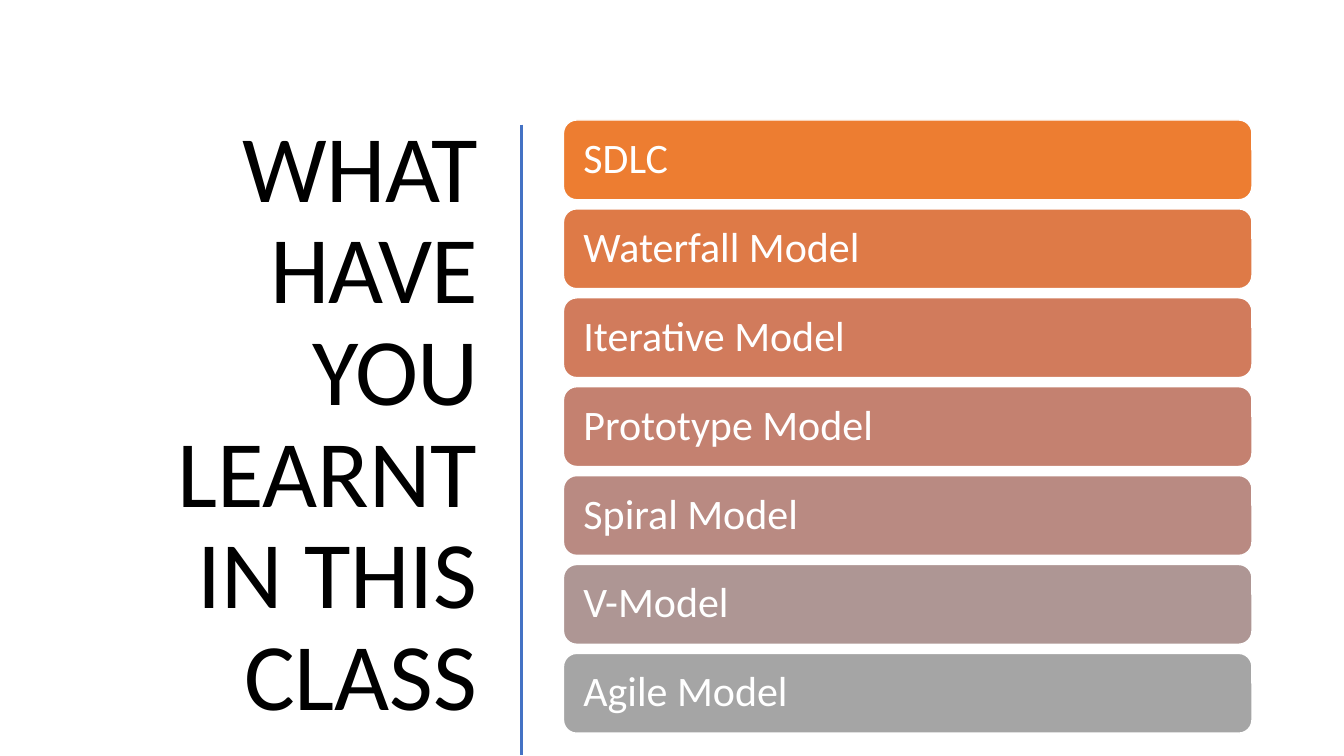
from lxml.etree import SubElement
from pptx import Presentation
from pptx.dml.color import RGBColor
from pptx.enum.shapes import MSO_CONNECTOR, MSO_SHAPE
from pptx.enum.text import MSO_ANCHOR, PP_ALIGN
from pptx.oxml.ns import qn
from pptx.util import Pt

FONT = "Calibri"
# Title pieces with their letter spacing in hundredths of a point
TITLE = [("WHAT HAVE ", -70), ("YOU ", -80), ("LEARNT IN THIS CLASS", -10)]
TOPICS = [
    ("SDLC", "ED7D31"),
    ("Waterfall Model", "DE7A47"),
    ("Iterative Model", "D17B5C"),
    ("Prototype Model", "C48170"),
    ("Spiral Model", "B98A82"),
    ("V-Model", "AE9694"),
    ("Agile Model", "A5A5A5"),
]
BAR_LEFT, BAR_TOP, BAR_WIDTH, BAR_HEIGHT = 402.5, 85.7, 491.8, 57
BAR_PITCH = 63.5


def rgb(color):
    return RGBColor.from_string(color)


def style_paragraph(paragraph, size, color, align, line_spacing):
    paragraph.alignment = align
    paragraph.line_spacing = line_spacing
    paragraph.font.name = FONT
    paragraph.font.size = Pt(size)
    paragraph.font.color.rgb = rgb(color)


def add_title(slide, left, top, width, height):
    title = slide.shapes.add_textbox(Pt(left), Pt(top), Pt(width), Pt(height))
    frame = title.text_frame
    frame.word_wrap = True
    frame.vertical_anchor = MSO_ANCHOR.MIDDLE
    heading = frame.paragraphs[0]
    style_paragraph(heading, 68, "000000", PP_ALIGN.RIGHT, 0.89)
    heading._p.get_or_add_pPr().set("marL", str(Pt(18)))
    for words, spacing in TITLE:
        run = heading.add_run()
        run.text = words
        run._r.get_or_add_rPr().set("spc", str(spacing))


def add_divider(slide, x, top, bottom):
    divider = slide.shapes.add_connector(
        MSO_CONNECTOR.STRAIGHT, Pt(x), Pt(top), Pt(x), Pt(bottom))
    divider.line.color.rgb = rgb("4472C4")
    divider.line.width = Pt(2)
    SubElement(divider._element.spPr, qn("a:effectLst"))


def add_topic_bar(slide, top, topic, color):
    bar = slide.shapes.add_shape(
        MSO_SHAPE.ROUNDED_RECTANGLE,
        Pt(BAR_LEFT), Pt(top), Pt(BAR_WIDTH), Pt(BAR_HEIGHT))
    bar.shadow.inherit = False
    bar.fill.solid()
    bar.fill.fore_color.rgb = rgb(color)
    bar.line.color.rgb = rgb("FFFFFF")
    bar.line.width = Pt(1)
    frame = bar.text_frame
    frame.word_wrap = True
    frame.vertical_anchor = MSO_ANCHOR.MIDDLE
    frame.margin_left = frame.margin_right = Pt(11.5)
    label = frame.paragraphs[0]
    label.text = topic
    style_paragraph(label, 30, "FFFFFF", PP_ALIGN.LEFT, 0.9)


def main():
    deck = Presentation()
    deck.slide_width, deck.slide_height = Pt(960), Pt(540)
    slide = deck.slides.add_slide(deck.slide_layouts[6])

    # Question on the left, with the dividing line
    add_title(slide, 37.5, 84.2, 310.3, 440)
    add_divider(slide, 372.5, 89, 539.5)

    # Topics on the right
    for row, (topic, color) in enumerate(TOPICS):
        add_topic_bar(slide, BAR_TOP + row * BAR_PITCH, topic, color)

    deck.save("out.pptx")


if __name__ == "__main__":
    main()
